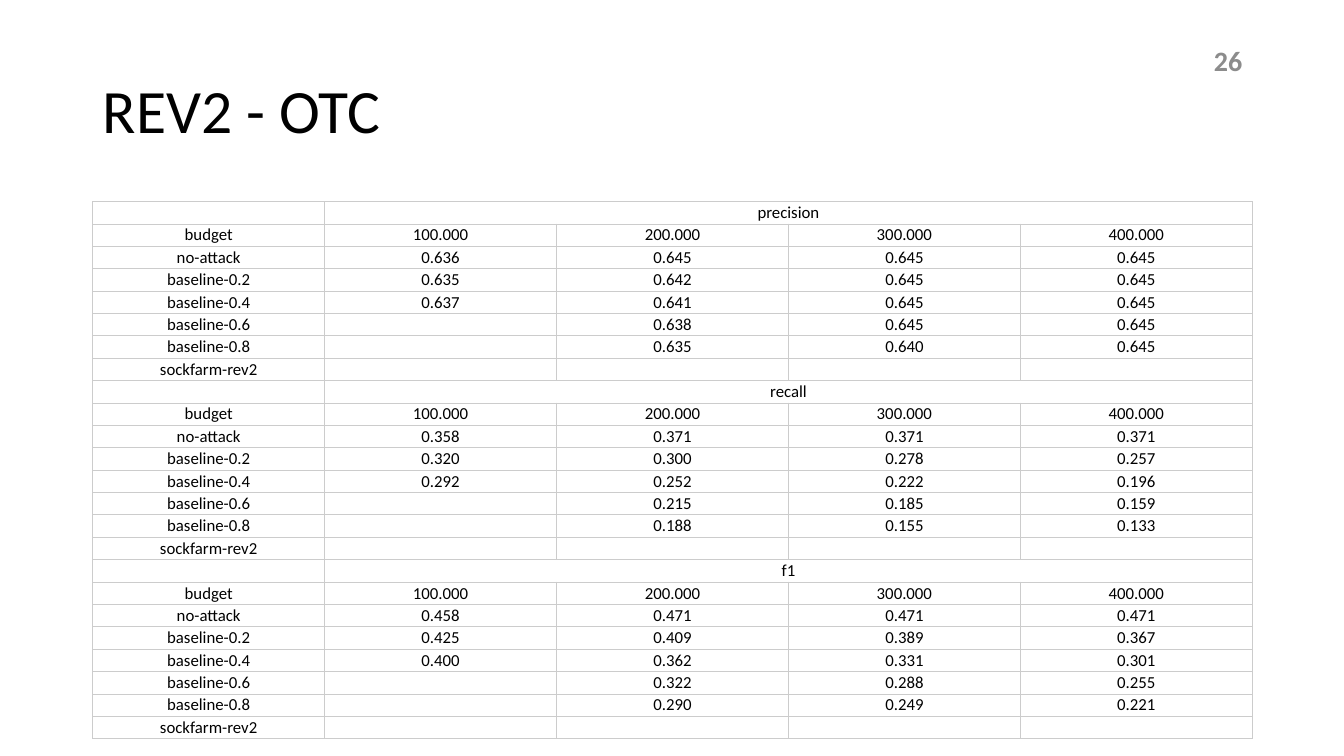
from lxml import etree
from pptx import Presentation
from pptx.dml.color import RGBColor
from pptx.enum import text
from pptx.oxml import ns
from pptx.util import Inches, Pt

BLACK = RGBColor(0x00, 0x00, 0x00)
GRAY = RGBColor(0x8C, 0x8C, 0x8C)
RULE = RGBColor(0xCC, 0xCC, 0xCC)

LABELS = ["no-attack", "baseline-0.2", "baseline-0.4",
          "baseline-0.6", "baseline-0.8", "sockfarm-rev2"]
BUDGET = ["budget", "100.000", "200.000", "300.000", "400.000"]
SCORES = {
    "precision": [
        ["0.636", "0.645", "0.645", "0.645"],
        ["0.635", "0.642", "0.645", "0.645"],
        ["0.637", "0.641", "0.645", "0.645"],
        ["", "0.638", "0.645", "0.645"],
        ["", "0.635", "0.640", "0.645"],
        [""] * 4,
    ],
    "recall": [
        ["0.358", "0.371", "0.371", "0.371"],
        ["0.320", "0.300", "0.278", "0.257"],
        ["0.292", "0.252", "0.222", "0.196"],
        ["", "0.215", "0.185", "0.159"],
        ["", "0.188", "0.155", "0.133"],
        [""] * 4,
    ],
    "f1": [
        ["0.458", "0.471", "0.471", "0.471"],
        ["0.425", "0.409", "0.389", "0.367"],
        ["0.400", "0.362", "0.331", "0.301"],
        ["", "0.322", "0.288", "0.255"],
        ["", "0.290", "0.249", "0.221"],
        [""] * 4,
    ],
}


def write(para, words, size, color, align, bold=False):
    para.alignment = align
    run = para.add_run()
    run.text = words
    for key, value in {"name": "Calibri", "size": Pt(size), "bold": bold}.items():
        setattr(run.font, key, value)
    run.font.color.rgb = color


def border(cell):
    props = cell._tc.get_or_add_tcPr()
    for side in ("lnL", "lnR", "lnT", "lnB"):
        line = etree.SubElement(props, ns.qn("a:" + side), w=str(Pt(0.75)))
        fill = etree.SubElement(line, ns.qn("a:solidFill"))
        etree.SubElement(fill, ns.qn("a:srgbClr"), val=str(RULE))


deck = Presentation()
deck.slide_width, deck.slide_height = Inches(13.33), Inches(7.5)
slide = deck.slides.add_slide(deck.slide_layouts[5])

title = slide.shapes.title
place = {"left": 0.92, "top": 0.4, "width": 11.5, "height": 1.45}
for key, value in place.items():
    setattr(title, key, Inches(value))
title.text_frame.vertical_anchor = text.MSO_ANCHOR.MIDDLE
head = title.text_frame.paragraphs[0]
head.line_spacing = 0.9
write(head, "REV2 - OTC", 44, BLACK, text.PP_ALIGN.LEFT)

number = slide.shapes.add_textbox(Inches(9.42), Inches(0.4), Inches(3), Inches(0.4))
number.text_frame.word_wrap = True
number.text_frame.vertical_anchor = text.MSO_ANCHOR.MIDDLE
write(number.text_frame.paragraphs[0], "26", 20, GRAY, text.PP_ALIGN.RIGHT, True)

rows = []
for metric, scores in SCORES.items():
    rows += [["", metric, "", "", ""], BUDGET]
    rows += [[label] + score for label, score in zip(LABELS, scores)]

frame = slide.shapes.add_table(len(rows), len(BUDGET), Inches(0.92), Inches(2),
                               Inches(11.5), Inches(5.33))
table = frame.table
table.first_row = table.horz_banding = False
for r, row in enumerate(rows):
    for c, words in enumerate(row):
        cell = table.cell(r, c)
        border(cell)
        cell.fill.background()
        cell.vertical_anchor = text.MSO_ANCHOR.BOTTOM
        for side in ("left", "right", "top", "bottom"):
            setattr(cell, "margin_" + side, Inches(0.01))
        para = cell.text_frame.paragraphs[0]
        if words:
            write(para, words, 12, BLACK, text.PP_ALIGN.CENTER)
        else:
            etree.SubElement(para._p, ns.qn("a:endParaRPr"), sz="1200")
    if row[1] in SCORES:
        table.cell(r, 1).merge(table.cell(r, 4))

deck.save("out.pptx")
